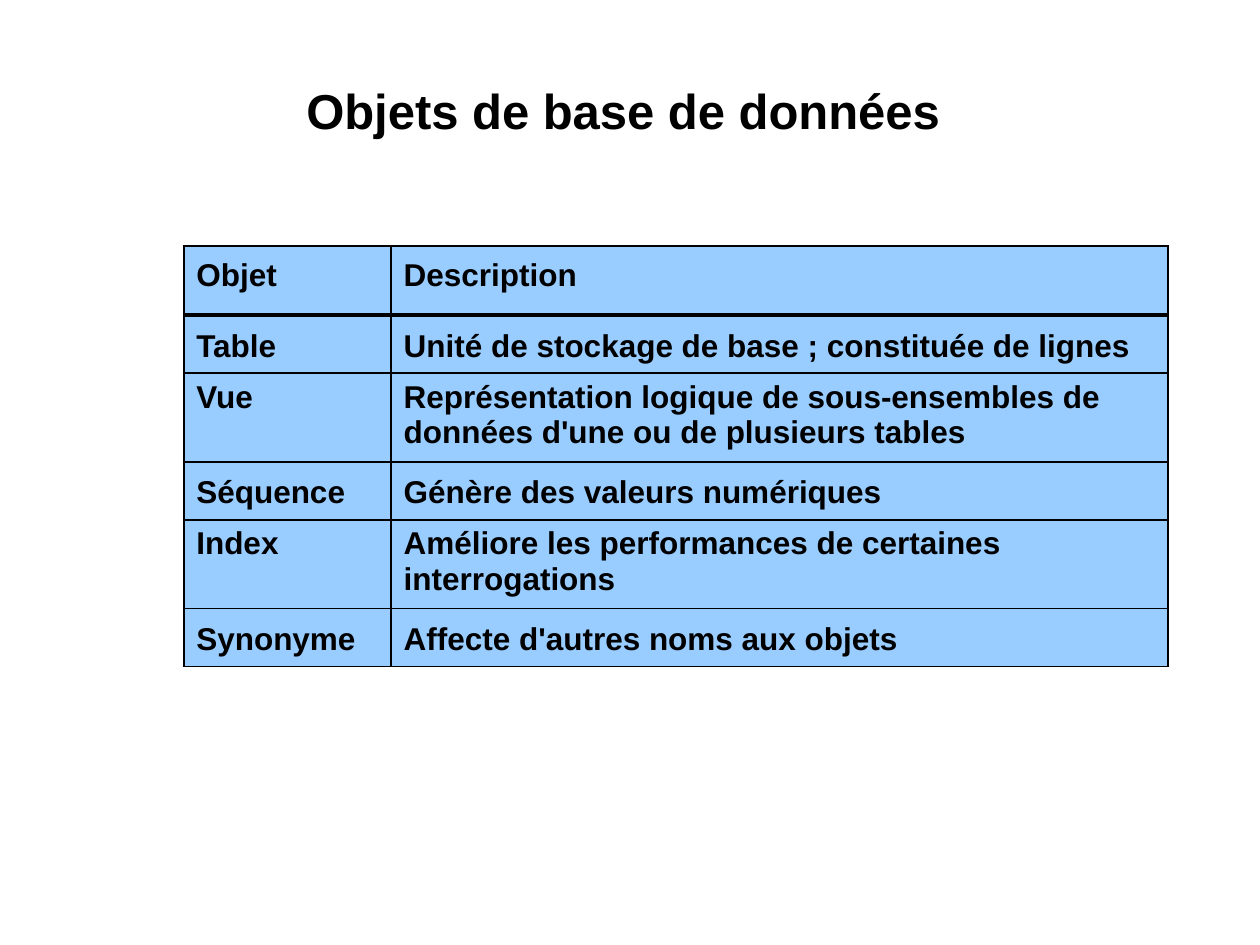
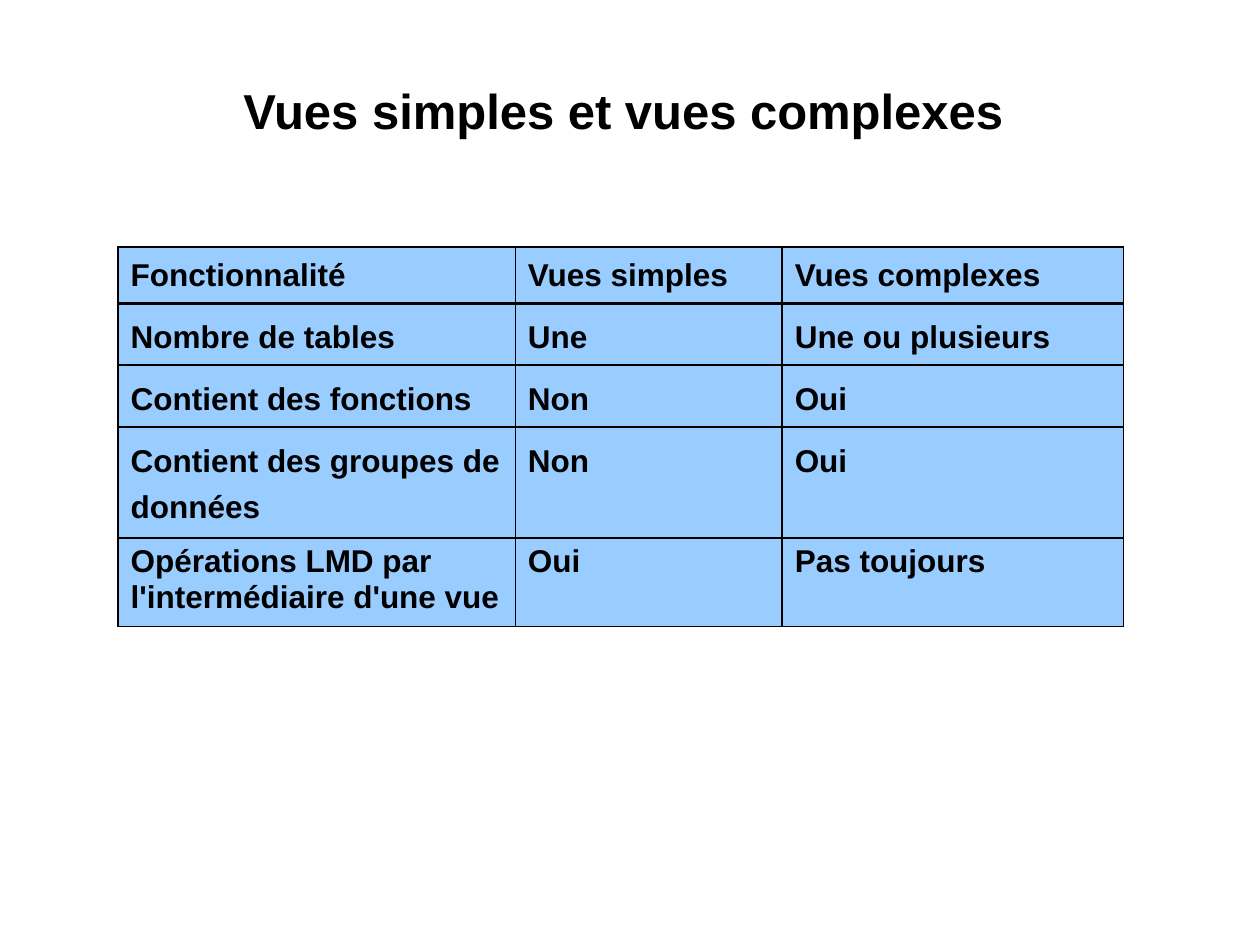
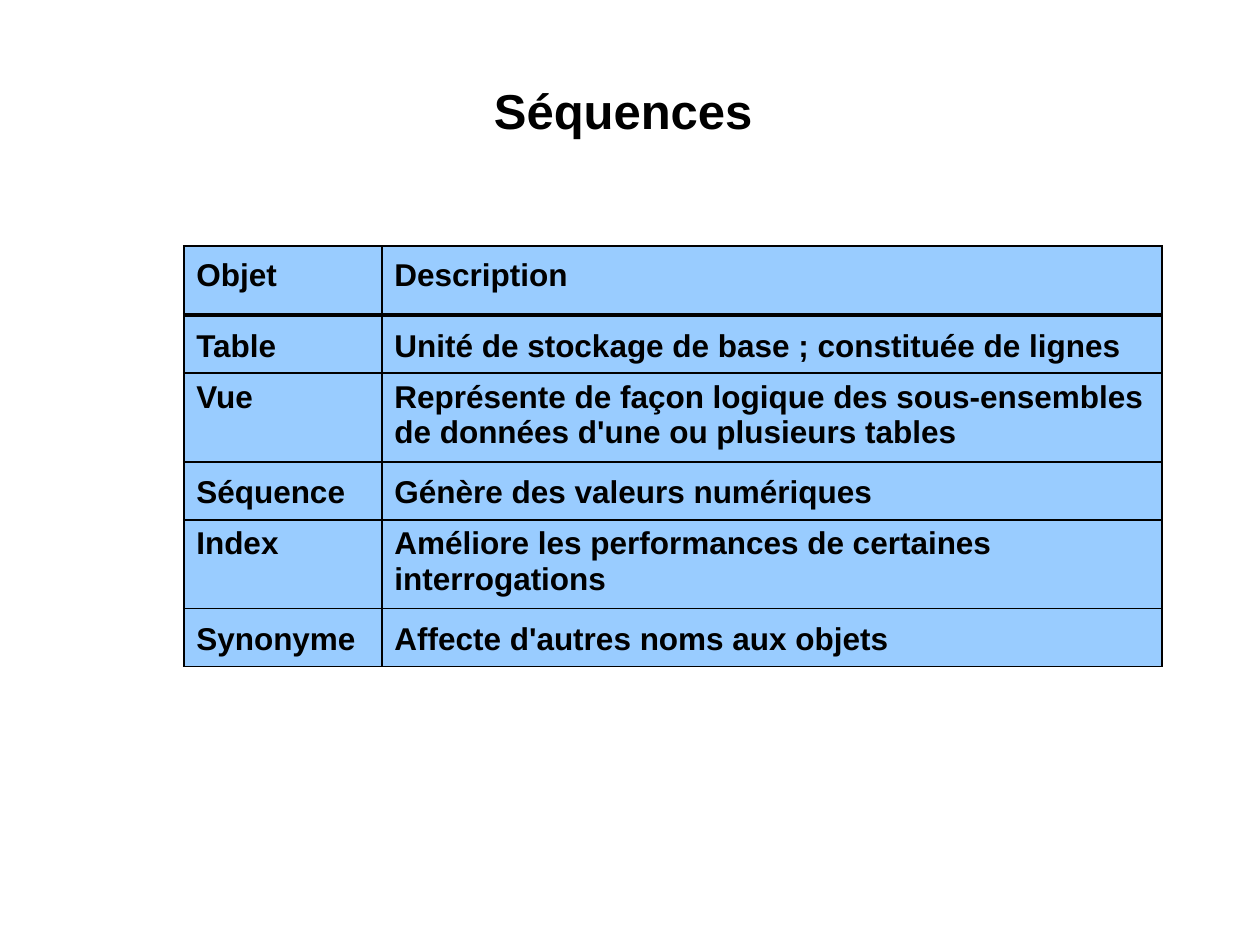
from typing import NamedTuple

from lxml.etree import SubElement
from pptx import Presentation
from pptx.dml.color import RGBColor
from pptx.enum.text import PP_ALIGN as Align
from pptx.oxml.ns import qn
from pptx.util import Pt

FONT = "Arial"
BLACK = "000000"
CELL_BLUE = "99CCFF"
TITLE_SIZE, CELL_SIZE = 28, 18
THIN, THICK = 1.08, 2.21


class Row(NamedTuple):
    height: float
    line_spacing: float
    cells: tuple[str, ...]


class TableSlide(NamedTuple):
    title: str
    left: float
    top: float
    widths: tuple[float, ...]
    rows: list[Row]


def rgb(color: str) -> RGBColor:
    return RGBColor.from_string(color)


def style_paragraph(p, size: float) -> None:
    for r in p.runs:
        r.font.name = FONT
        r.font.size = Pt(size)
        r.font.bold = True
        r.font.color.rgb = rgb(BLACK)


def add_title(s, text: str) -> None:
    tf = s.shapes.add_textbox(Pt(72), Pt(42), Pt(576), Pt(69)).text_frame
    tf.word_wrap = True
    tf.margin_left = tf.margin_right = tf.margin_bottom = Pt(0.72)
    tf.margin_top = Pt(4)
    p = tf.paragraphs[0]
    p.text = text
    p.alignment = Align.CENTER
    style_paragraph(p, TITLE_SIZE)


def add_border(cell, side: str, width: float) -> None:
    """Draw one side (L, R, T or B); call in that order, before the fill."""
    tc_pr = cell._tc.get_or_add_tcPr()
    ln = SubElement(tc_pr, qn(f"a:ln{side}"), w=str(int(Pt(width))))
    fill = SubElement(ln, qn("a:solidFill"))
    SubElement(fill, qn("a:srgbClr"), val=BLACK)


def fill_cell(cell, text: str, line_spacing: float, row_index: int) -> None:
    top = THICK if row_index == 1 else THIN
    bottom = THICK if row_index == 0 else THIN
    for side, width in zip("LRTB", (THIN, THIN, top, bottom)):
        add_border(cell, side, width)
    cell.fill.solid()
    cell.fill.fore_color.rgb = rgb(CELL_BLUE)
    p = cell.text_frame.paragraphs[0]
    p.text = text
    p.line_spacing = line_spacing
    style_paragraph(p, CELL_SIZE)


def add_table(s, spec: TableSlide) -> None:
    width, height = sum(spec.widths), sum(row.height for row in spec.rows)
    table = s.shapes.add_table(
        len(spec.rows), len(spec.widths),
        Pt(spec.left), Pt(spec.top), Pt(width), Pt(height),
    ).table
    for column, column_width in zip(table.columns, spec.widths):
        column.width = Pt(column_width)
    for i, row in enumerate(spec.rows):
        table.rows[i].height = Pt(row.height)
        for j, text in enumerate(row.cells):
            fill_cell(table.cell(i, j), text, row.line_spacing, i)


def object_rows(view_description: str) -> list[Row]:
    """Rows of the database object table, whose view wording varies."""
    return [
        Row(39.6, 1.15, ("Objet", "Description")),
        Row(33.2, 1.2, ("Table", "Unité de stockage de base ; constituée de lignes")),
        Row(50.6, 1, ("Vue", view_description)),
        Row(33.2, 1.2, ("Séquence", "Génère des valeurs numériques")),
        Row(50.6, 1, ("Index", "Améliore les performances de certaines interrogations")),
        Row(33.2, 1.2, ("Synonyme", "Affecte d'autres noms aux objets")),
    ]


SLIDES = [
    TableSlide(
        "Objets de base de données ", 105, 140.5, (118.5, 444),
        object_rows("Représentation logique de sous-ensembles de données "
                    "d'une ou de plusieurs tables"),
    ),
    TableSlide(
        "Vues simples et vues complexes ", 67.5, 141, (227, 152.5, 195),
        [
            Row(32.4, 1.15, ("Fonctionnalité", "Vues simples", "Vues complexes")),
            Row(35.3, 1.3, ("Nombre de tables", "Une", "Une ou plusieurs")),
            Row(35.3, 1.3, ("Contient des fonctions", "Non", "Oui")),
            Row(63.4, 1.3, ("Contient des groupes de données", "Non", "Oui")),
            Row(50.6, 1, ("Opérations LMD par l'intermédiaire d'une vue",
                          "Oui", "Pas toujours")),
        ],
    ),
    TableSlide(
        "Séquences ", 105, 140.5, (113.2, 446),
        object_rows("Représente de façon logique des sous-ensembles de données "
                    "d'une ou plusieurs tables"),
    ),
]


def main() -> None:
    prs = Presentation()
    prs.slide_width, prs.slide_height = Pt(720), Pt(540)
    for spec in SLIDES:
        s = prs.slides.add_slide(prs.slide_layouts[6])
        add_title(s, spec.title)
        add_table(s, spec)
    prs.save("out.pptx")


if __name__ == "__main__":
    main()
